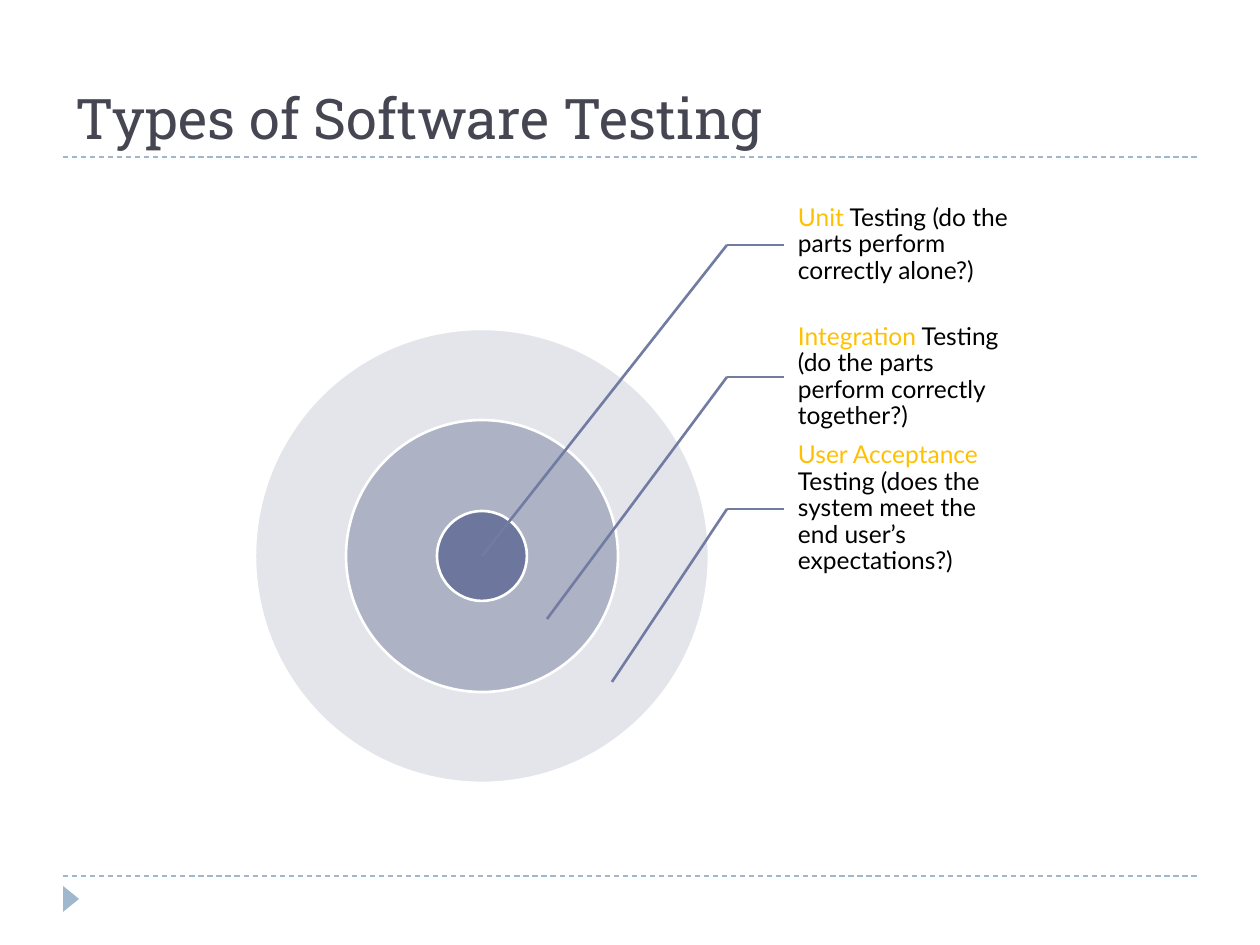
from pptx import Presentation
from pptx.util import Emu, Pt
from pptx.dml.color import RGBColor
from pptx.enum.dml import MSO_LINE
from pptx.enum.shapes import MSO_CONNECTOR, MSO_SHAPE
from pptx.enum.text import MSO_ANCHOR
from pptx.oxml.ns import qn
from lxml import etree

SCALE = 914400 // 126
color = RGBColor.from_string

presentation = Presentation()
presentation.slide_width = Emu(1260 * SCALE)
presentation.slide_height = Emu(945 * SCALE)
slide = presentation.slides.add_slide(presentation.slide_layouts[6])


def add_line(start, end, line_color, width, dash=None):
    points = [Emu(value * SCALE) for value in (*start, *end)]
    line = slide.shapes.add_connector(MSO_CONNECTOR.STRAIGHT, *points)
    line.line.color.rgb = color(line_color)
    line.line.width = Pt(width)
    if dash:
        line.line.dash_style = dash
    etree.SubElement(line._element.spPr, qn("a:effectLst"))


def add_text(box, runs, font, size, anchor, insets):
    shape = slide.shapes.add_textbox(*[Emu(value * SCALE) for value in box])
    frame = shape.text_frame
    frame.word_wrap = True
    frame.vertical_anchor = anchor
    frame.margin_left, frame.margin_top, frame.margin_right, frame.margin_bottom = [
        Emu(value * SCALE) for value in insets
    ]
    paragraph = frame.paragraphs[0]
    for text, text_color in runs:
        run = paragraph.add_run()
        run.text = text
        run.font.name = font
        run.font.size = Pt(size)
        run.font.color.rgb = color(text_color)
    return paragraph


for rule_y in (157, 876):
    add_line((63, rule_y), (1197, rule_y), "9FB8CD", 0.75, MSO_LINE.DASH)

marker = slide.shapes.add_shape(
    MSO_SHAPE.ISOSCELES_TRIANGLE, *[Emu(value * SCALE) for value in (58, 891, 26, 16)]
)
marker.rotation = 90
marker.shadow.inherit = False
marker.fill.solid()
marker.fill.fore_color.rgb = color("9FB8CD")
marker.line.fill.background()

add_text((63, 21, 1134, 136), [("Types of Software Testing", "464653")],
         "Roboto Slab", 32, MSO_ANCHOR.BOTTOM, (13, 6, 13, 6))

center_x, center_y = 482, 556
for radius, fill, opacity in ((227, "C9CCD8", 50), (136, "9CA1B9", 75), (45, "6D769C", 100)):
    box = (center_x - radius, center_y - radius, 2 * radius, 2 * radius)
    circle = slide.shapes.add_shape(MSO_SHAPE.OVAL, *[Emu(value * SCALE) for value in box])
    circle.shadow.inherit = False
    circle.fill.solid()
    circle.fill.fore_color.rgb = color(fill)
    circle.line.color.rgb = color("FFFFFF")
    circle.line.width = Pt(1.5)
    if opacity < 100:
        fill_color = circle._element.spPr.find(qn("a:solidFill")).find(qn("a:srgbClr"))
        etree.SubElement(fill_color, qn("a:alpha"), val=str(opacity * 1000))

labels = [
    ("Unit", " Testing (do the parts perform correctly alone?)", (482, 556)),
    ("Integration", " Testing (do the parts perform correctly together?)", (547, 619)),
    ("User Acceptance ", "Testing (does the system meet the end user’s expectations?)", (612, 682)),
]
label_x, elbow_x, label_height = 784, 727, 132
for index, (level, description, target) in enumerate(labels):
    label_y = 179 + index * label_height
    line_y = label_y + label_height // 2
    paragraph = add_text((label_x, label_y, 227, label_height),
                         [(level, "FFC000"), (description, "000000")],
                         "Lato", 14, MSO_ANCHOR.MIDDLE, (14, 2, 2, 2))
    paragraph.line_spacing = 0.9
    add_line((elbow_x, line_y), (label_x, line_y), "727CA3", 1.5)
    add_line((elbow_x, line_y), target, "727CA3", 1.5)

presentation.save("out.pptx")
